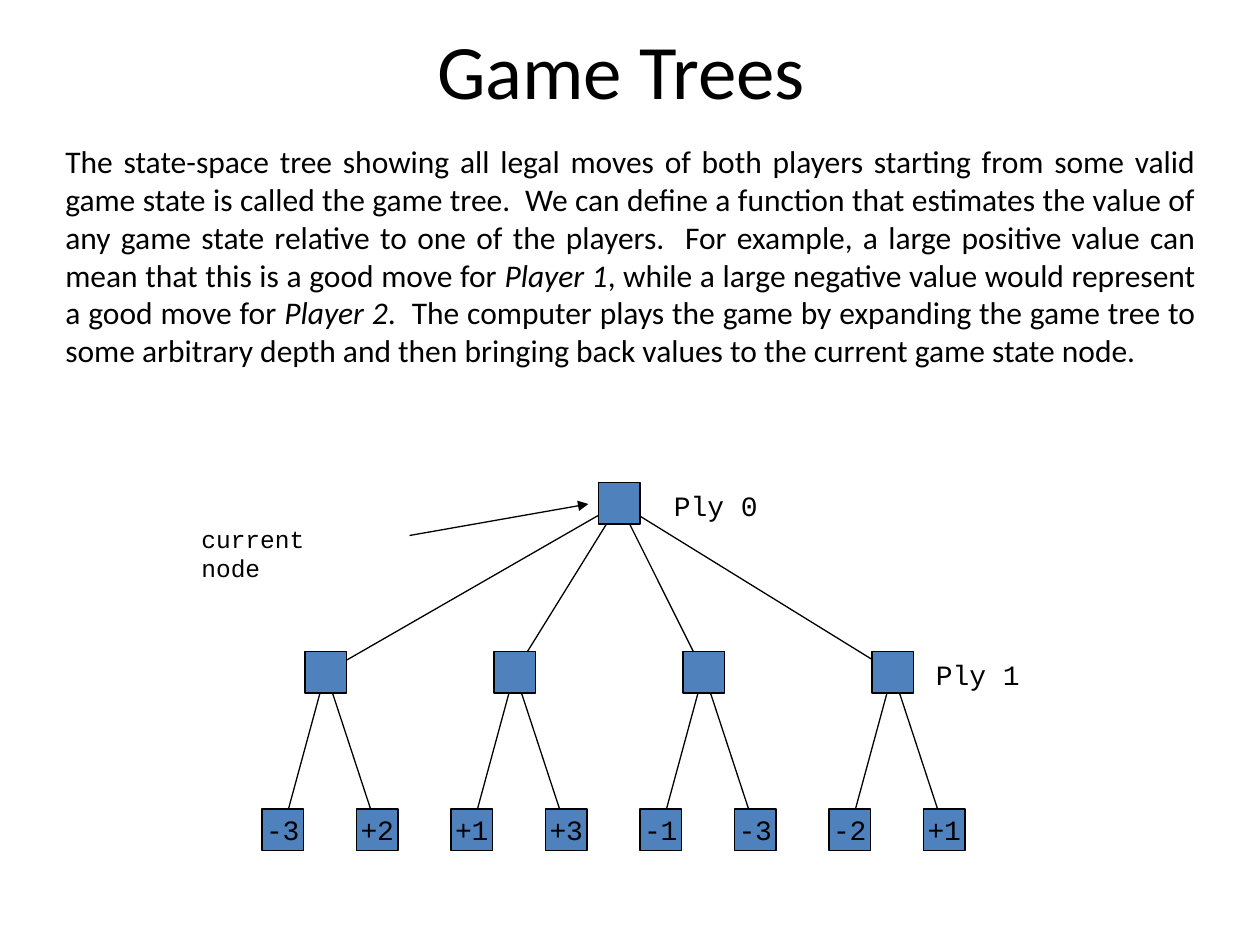
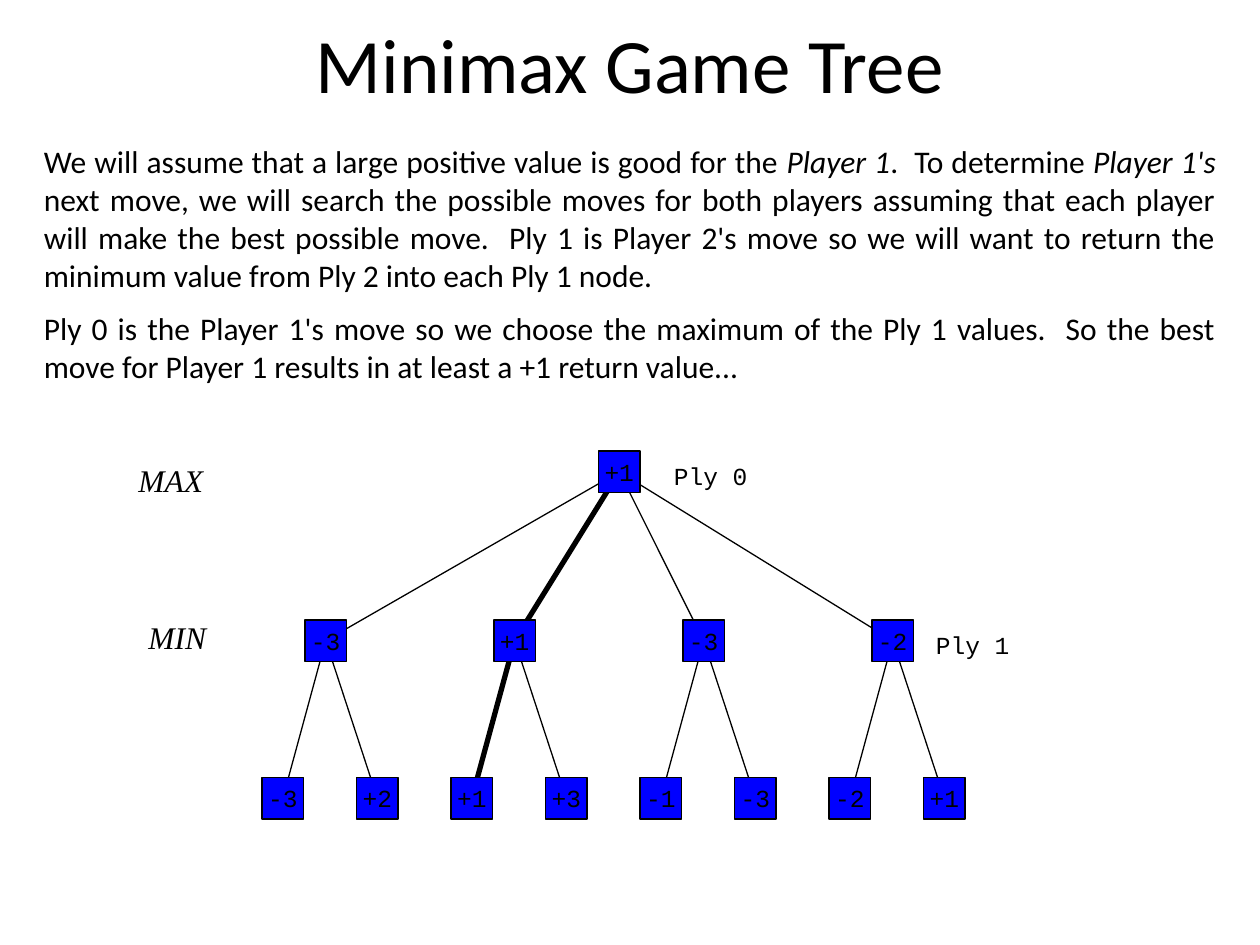
from lxml.etree import SubElement
from pptx import Presentation
from pptx.dml.color import RGBColor
from pptx.enum.shapes import MSO_CONNECTOR, MSO_SHAPE
from pptx.enum.text import MSO_ANCHOR, PP_ALIGN
from pptx.oxml.ns import qn
from pptx.util import Inches, Pt

BLACK = RGBColor(0x00, 0x00, 0x00)
STEEL_BLUE = RGBColor(0x4F, 0x81, 0xBD)
PURE_BLUE = RGBColor(0x00, 0x00, 0xFF)

BODY_FONT = "Calibri"
CODE_FONT = "Courier New"
ROLE_FONT = "Times New Roman"

# Tree geometry in inches, relative to the tree's top left corner
NODE_SIZE = 0.33
LEAF_STEP = 0.75
PLY_ONE_LEFT = 0.34
ROOT_LEFT = 2.67
PLY_TOPS = (0, 1.34, 2.59)
LEAF_VALUES = ["-3", "+2", "+1", "+3", "-1", "-3", "-2", "+1"]


def write_text(shape, text, size=18, font=BODY_FONT, align=PP_ALIGN.LEFT,
               anchor=MSO_ANCHOR.TOP, wrap=True, italic=False, gap=0):
    """Fill a shape; lines become paragraphs, *stars* switch italics."""
    frame = shape.text_frame
    frame.word_wrap = wrap
    frame.vertical_anchor = anchor
    for index, line in enumerate(text.split("\n")):
        paragraph = frame.add_paragraph() if index else frame.paragraphs[0]
        paragraph.alignment = align
        paragraph.space_before = Pt(gap if index else 0)
        for part, words in enumerate(line.split("*")):
            run = paragraph.add_run()
            run.text = words
            run.font.size = Pt(size)
            run.font.name = font
            run.font.italic = italic or part % 2 == 1
            run.font.color.rgb = BLACK


def add_text(slide, box, text, **text_format):
    shape = slide.shapes.add_textbox(*map(Inches, box))
    write_text(shape, text, **text_format)


def add_line(slide, start, end, width=0.75, arrow=False):
    line = slide.shapes.add_connector(
        MSO_CONNECTOR.STRAIGHT, *map(Inches, (*start, *end)))
    line.line.color.rgb = BLACK
    line.line.width = Pt(width)
    properties = line._element.spPr
    if arrow:
        SubElement(properties.find(qn("a:ln")), qn("a:tailEnd"), type="triangle")
    SubElement(properties, qn("a:effectLst"))


def add_node(slide, corner, value, fill, size):
    node = slide.shapes.add_shape(
        MSO_SHAPE.RECTANGLE, *map(Inches, (*corner, NODE_SIZE, NODE_SIZE)))
    node.shadow.inherit = False
    node.fill.solid()
    node.fill.fore_color.rgb = fill
    node.line.color.rgb = BLACK
    node.line.width = Pt(0.75)
    if value:
        write_text(node, value, size=size, font=CODE_FONT, wrap=False,
                   align=PP_ALIGN.CENTER, anchor=MSO_ANCHOR.MIDDLE)


def center(corner):
    return tuple(edge + NODE_SIZE / 2 for edge in corner)


def add_game_tree(slide, left, top, fill, size, root_value="",
                  ply_one_values=("",) * 4, best_move=None, label_drop=0):
    root_top, ply_one_top, leaf_top = (top + offset for offset in PLY_TOPS)
    root = (left + ROOT_LEFT, root_top)
    ply_one = [(left + PLY_ONE_LEFT + 2 * LEAF_STEP * index, ply_one_top)
               for index in range(len(ply_one_values))]
    leaves = [(left + LEAF_STEP * index, leaf_top)
              for index in range(len(LEAF_VALUES))]

    # Branches, with the best move drawn thick down to its first leaf
    for index, corner in enumerate(ply_one):
        width = 3 if index == best_move else 0.75
        add_line(slide, center(root), center(corner), width)
        add_line(slide, center(corner), center(leaves[2 * index]), width)
        add_line(slide, center(corner), center(leaves[2 * index + 1]))

    # Nodes cover the branch ends
    corners = leaves + ply_one + [root]
    values = [*LEAF_VALUES, *ply_one_values, root_value]
    for corner, value in zip(corners, values):
        add_node(slide, corner, value, fill, size)

    # Ply labels to the right of the upper two rows, wide enough for one line
    for ply, (offset, row_top) in enumerate([(3.17, root_top), (5.25, ply_one_top)]):
        add_text(slide, (left + offset, row_top + label_drop, 1, 0.35),
                 f"Ply {ply}", size=size, font=CODE_FONT)


def add_heading_and_body(slide, title, title_box, body, body_box):
    add_text(slide, title_box, title, size=44, align=PP_ALIGN.CENTER,
             anchor=MSO_ANCHOR.MIDDLE)
    add_text(slide, body_box, body, align=PP_ALIGN.JUSTIFY, gap=9)


def build_game_trees(slide):
    add_heading_and_body(
        slide, "Game Trees ", (0.75, 0.17, 8.5, 0.75),
        "The state-space tree showing all legal moves of both players starting "
        "from some valid game state is called the game tree.  We can define a "
        "function that estimates the value of any game state relative to one of "
        "the players.  For example, a large positive value can mean that this is "
        "a good move for *Player 1*, while a large negative value would represent "
        "a good move for *Player 2*.  The computer plays the game by expanding "
        "the game tree to some arbitrary depth and then bringing back values to "
        "the current game state node.",
        (0.42, 1.08, 9.17, 1.9))
    add_game_tree(slide, 2.08, 3.83, STEEL_BLUE, 16)

    # Pointer to the current node
    add_text(slide, (1.5, 4.11, 1.5, 0.57), "current node", size=14, font=CODE_FONT)
    add_line(slide, (3.25, 4.25), (4.67, 4), arrow=True)


def build_minimax(slide):
    add_heading_and_body(
        slide, "Minimax Game Tree", (0.75, 0.25, 8.5, 0.5),
        "We will assume that a large positive value is good for the *Player 1*.  "
        "To determine *Player 1's* next move, we will search the possible moves "
        "for both players assuming that each player will make the best possible "
        "move.  Ply 1 is Player 2's move so we will want to return the minimum "
        "value from Ply 2 into each Ply 1 node.\n"
        "Ply 0 is the Player 1's move so we choose the maximum of the Ply 1 "
        "values.  So the best move for Player 1 results in at least a +1 return "
        "value...",
        (0.25, 1.08, 9.5, 2.05))
    add_game_tree(slide, 2.08, 3.58, PURE_BLUE, 14, root_value="+1",
                  ply_one_values=("-3", "+1", "-3", "-2"), best_move=1,
                  label_drop=0.03)

    # Role of each ply
    for role, box in (("MAX", (1, 3.61, 0.72, 0.4)), ("MIN", (1.08, 4.86, 0.66, 0.4))):
        add_text(slide, box, role, font=ROLE_FONT, italic=True, wrap=False)


def main():
    presentation = Presentation()
    presentation.slide_width = Inches(10)
    presentation.slide_height = Inches(7.5)
    for build in (build_game_trees, build_minimax):
        build(presentation.slides.add_slide(presentation.slide_layouts[6]))
    presentation.save("out.pptx")


if __name__ == "__main__":
    main()
